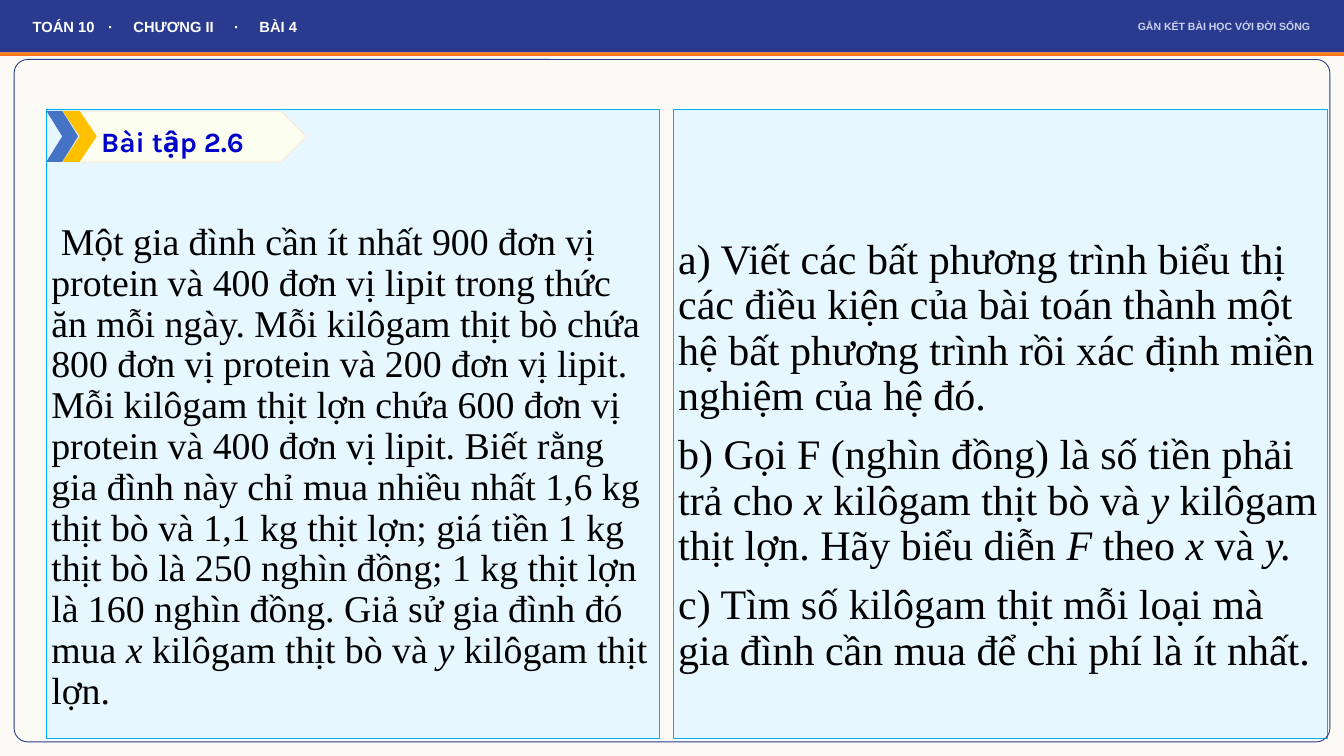
"""Build the Bài tập 2.6 exercise slide on systems of linear inequalities."""
from lxml.etree import SubElement
from pptx import Presentation
from pptx.dml.color import RGBColor
from pptx.enum.shapes import MSO_SHAPE
from pptx.enum.text import MSO_ANCHOR, PP_ALIGN
from pptx.oxml.ns import qn
from pptx.util import Pt

CREAM = RGBColor(0xFB, 0xFA, 0xF4)
PALE_BLUE = RGBColor(0xE7, 0xF7, 0xFF)
CYAN = RGBColor(0x00, 0xB0, 0xF0)
NAVY = RGBColor(0x2A, 0x3B, 0x8F)
ORANGE = RGBColor(0xFF, 0x7A, 0x1A)
IVORY = RGBColor(0xFC, 0xFF, 0xEF)
PEACH = RGBColor(0xFB, 0xE5, 0xD6)
BLUE = RGBColor(0x44, 0x72, 0xC4)
GOLD = RGBColor(0xFF, 0xC0, 0x00)
TITLE_BLUE = RGBColor(0x00, 0x00, 0xCC)
LAVENDER = RGBColor(0xCA, 0xD3, 0xF0)
WHITE = RGBColor(0xFF, 0xFF, 0xFF)
BLACK = RGBColor(0, 0, 0)

WIDTH, HEIGHT = 1920.24, 1080
HEADER_HEIGHT = 74.88
PANEL_TOP, PANEL_HEIGHT = 156.24, 898.56

COURSE = ["TOÁN 10", "·", "CHƯƠNG II", "·", "BÀI 4"]
COURSE_TABS = [106, 130.5, 262.5, 287]
MOTTO = "GẮN KẾT BÀI HỌC VỚI ĐỜI SỐNG"
TITLE = "Bài tập 2.6"

PROBLEM = [
    ["Một gia đình cần ít nhất 900 đơn vị protein và 400 đơn vị lipit trong thức ăn "
     "mỗi ngày. Mỗi kilôgam thịt bò chứa 800 đơn vị protein và 200 đơn vị lipit. "
     "Mỗi kilôgam thịt lợn chứa 600 đơn vị protein và 400 đơn vị lipit. Biết rằng "
     "gia đình này chỉ mua nhiều nhất 1,6 kg thịt bò và 1,1 kg thịt lợn; giá tiền "
     "1 kg thịt bò là 250 nghìn đồng; 1 kg thịt lợn là 160 nghìn đồng. Giả sử gia "
     "đình đó mua ", "x ", "kilôgam thịt bò và ", "y ", "kilôgam thịt lợn."],
]
QUESTIONS = [
    ["a) Viết các bất phương trình biểu thị các điều kiện của bài toán thành một hệ "
     "bất phương trình rồi xác định miền nghiệm của hệ đó."],
    ["b) Gọi F (nghìn đồng) là số tiền phải trả cho ", "x ", "kilôgam thịt bò và ",
     "y ", "kilôgam thịt lợn. Hãy biểu diễn ", "F ", "theo ", "x ", "và ", "y."],
    ["c) Tìm số kilôgam thịt mỗi loại mà gia đình cần mua để chi phí là ít nhất."],
]
PANELS = [
    dict(left=66.24, width=876.24, paragraphs=PROBLEM, size=54, top_inset=162, indent=13.5),
    dict(left=961.92, width=933.84, paragraphs=QUESTIONS, size=60, top_inset=184, indent=0),
]
BANNER = [
    (MSO_SHAPE.PENTAGON, 113.76, 159.12, 324, IVORY, PEACH),
    (MSO_SHAPE.CHEVRON, 66.24, 158.4, 45.36, BLUE, None),
    (MSO_SHAPE.CHEVRON, 89.28, 158.4, 48.96, GOLD, None),
]


def add_block(slide, kind, left, top, width, height, fill=None, line=None, line_width=1):
    block = slide.shapes.add_shape(kind, Pt(left), Pt(top), Pt(width), Pt(height))
    block.shadow.inherit = False
    if fill is None:
        block.fill.background()
    else:
        block.fill.solid()
        block.fill.fore_color.rgb = fill
    if line is None:
        block.line.fill.background()
    else:
        block.line.color.rgb = line
        block.line.width = Pt(line_width)
    return block


def add_label(slide, left, top, width, height):
    return slide.shapes.add_textbox(Pt(left), Pt(top), Pt(width), Pt(height))


def write_text(holder, paragraphs, *, font, size, color, bold=False, align=PP_ALIGN.LEFT,
               anchor=MSO_ANCHOR.TOP, insets=(7.2, 3.6), spacing=None, before=0,
               indent=0, tabs=()):
    """Write paragraphs whose runs alternate between upright and italic."""
    frame = holder.text_frame
    frame.word_wrap = True
    frame.vertical_anchor = anchor
    frame.margin_left = frame.margin_right = Pt(insets[0])
    frame.margin_top, frame.margin_bottom = Pt(insets[1]), Pt(0)
    for number, pieces in enumerate(paragraphs):
        paragraph = frame.add_paragraph() if number else frame.paragraphs[0]
        properties = paragraph._p.get_or_add_pPr()
        properties.set("indent", str(Pt(indent)))
        paragraph.alignment = align
        if spacing:
            paragraph.line_spacing = spacing
        if number:
            paragraph.space_before = Pt(before)
        if tabs:
            stops = SubElement(properties, qn("a:tabLst"))
            for stop in tabs:
                SubElement(stops, qn("a:tab"), pos=str(Pt(stop)), algn="l")
        for position, piece in enumerate(pieces):
            run = paragraph.add_run()
            run.text = piece
            run.font.name, run.font.size = font, Pt(size)
            run.font.bold, run.font.italic = bold, position % 2 == 1
            run.font.color.rgb = color


def main():
    deck = Presentation()
    deck.slide_width, deck.slide_height = Pt(WIDTH), Pt(HEIGHT)
    slide = deck.slides.add_slide(deck.slide_layouts[6])

    add_block(slide, MSO_SHAPE.RECTANGLE, 0, 0, WIDTH, HEIGHT, CREAM)
    for panel in PANELS:
        card = add_block(slide, MSO_SHAPE.RECTANGLE, panel["left"], PANEL_TOP,
                         panel["width"], PANEL_HEIGHT, PALE_BLUE, CYAN, 0.75)
        write_text(card, panel["paragraphs"], font="Times New Roman", size=panel["size"],
                   color=BLACK, insets=(7.2, panel["top_inset"]), spacing=0.9, before=20,
                   indent=panel["indent"])

    for kind, left, top, width, fill, line in BANNER:
        add_block(slide, kind, left, top, width, 72.72, fill, line)
    title = add_label(slide, 137.52, 170.64, 324.72, 105.12)
    write_text(title, [[TITLE]], font="Karla", size=40, color=TITLE_BLUE, bold=True,
               spacing=1.07)

    border = add_block(slide, MSO_SHAPE.ROUNDED_RECTANGLE, 20.16, 84.96, 1879.92, 974.88,
                       line=NAVY, line_width=1.25)
    border.adjustments[0] = 0.02
    add_block(slide, MSO_SHAPE.RECTANGLE, 0, 0, WIDTH, HEADER_HEIGHT, NAVY)
    add_block(slide, MSO_SHAPE.RECTANGLE, 0, HEADER_HEIGHT, WIDTH, 5.04, ORANGE)

    header = dict(font="Arial", bold=True, anchor=MSO_ANCHOR.MIDDLE, insets=(7.2, 0))
    course = add_label(slide, 39.6, 0, 936, HEADER_HEIGHT)
    write_text(course, [["\t".join(COURSE)]], size=21, color=WHITE, tabs=COURSE_TABS, **header)
    motto = add_label(slide, 936, 0, 943.2, HEADER_HEIGHT)
    write_text(motto, [[MOTTO]], size=15, color=LAVENDER, align=PP_ALIGN.RIGHT, **header)

    deck.save("out.pptx")


if __name__ == "__main__":
    main()
